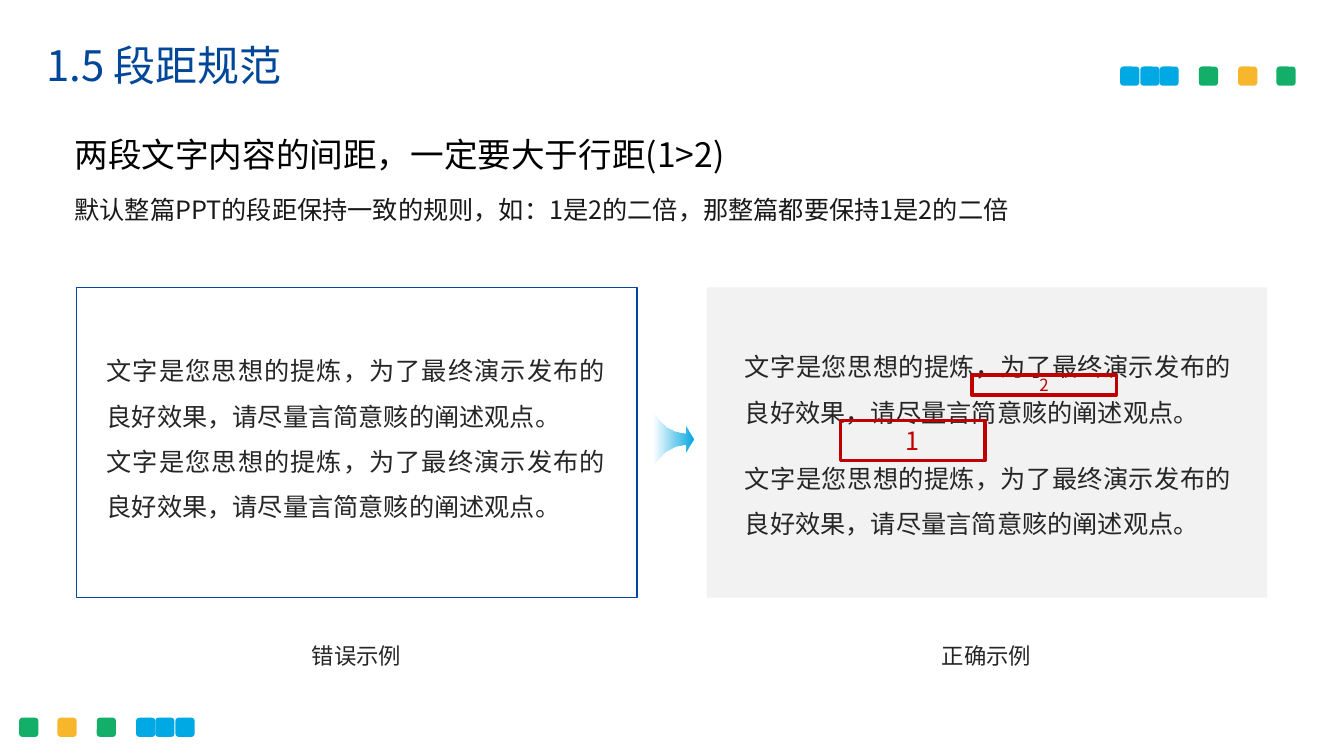
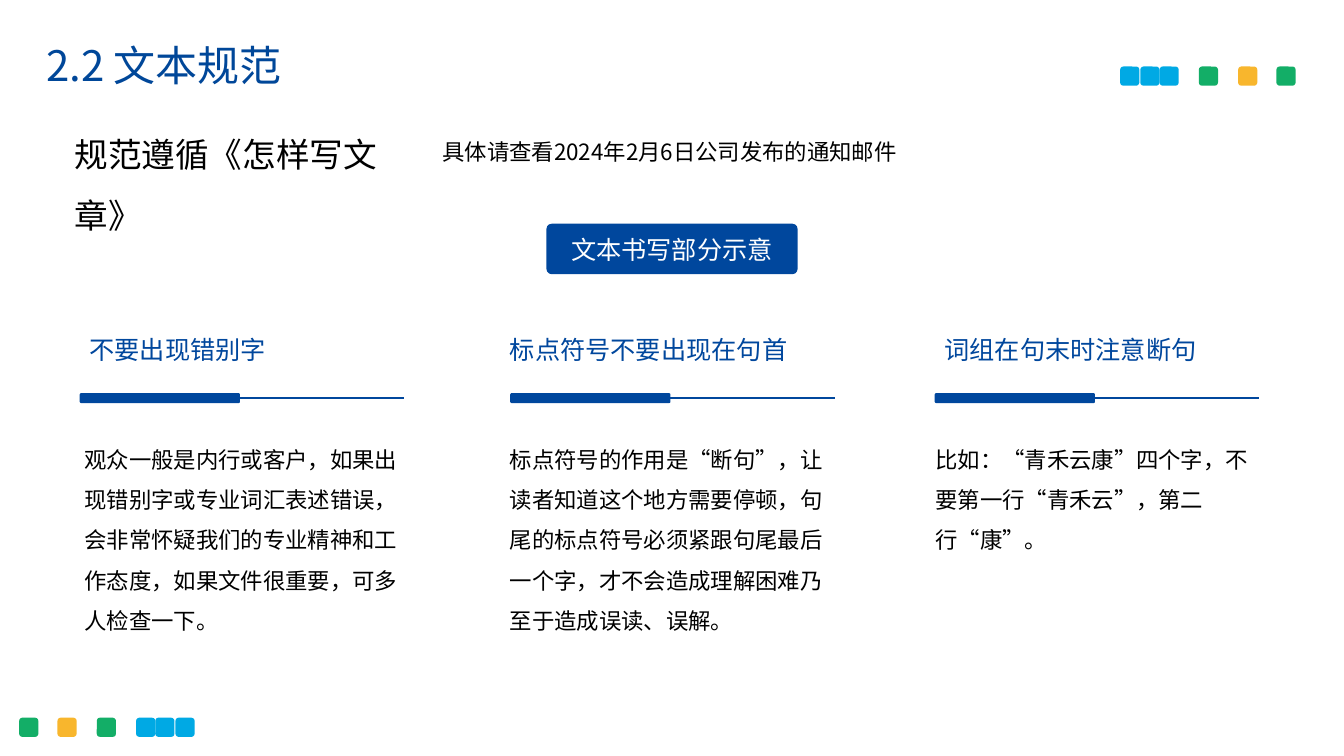
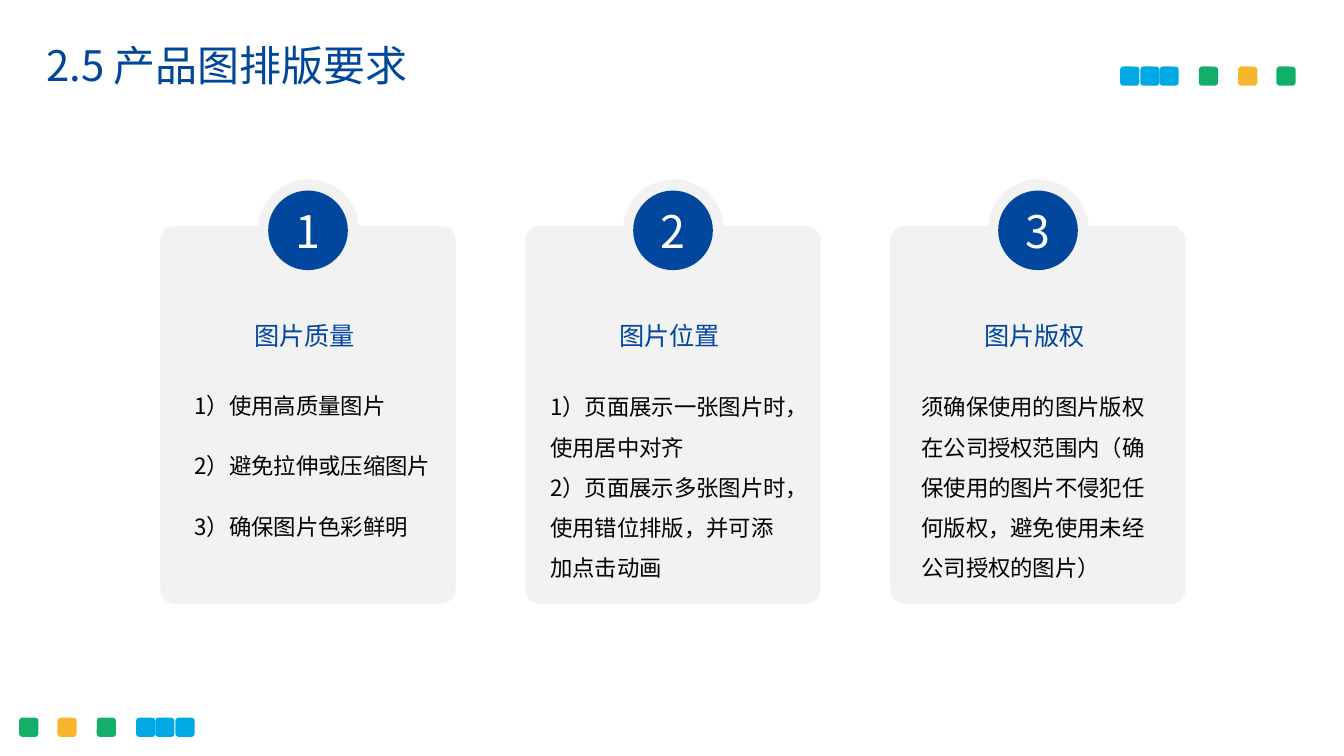
import pptx
import pptx.dml.color
import pptx.enum.lang
import pptx.enum.shapes
import pptx.enum.text
import pptx.oxml.ns
import pptx.util
from lxml import etree

Inches = pptx.util.Inches
Color = pptx.dml.color.RGBColor
Align = pptx.enum.text.PP_ALIGN
Anchor = pptx.enum.text.MSO_ANCHOR
Shape = pptx.enum.shapes.MSO_SHAPE
qn = pptx.oxml.ns.qn

FONT = "Noto Sans CJK SC"
LANG = pptx.enum.lang.MSO_LANGUAGE_ID.SIMPLIFIED_CHINESE
BLUE = Color(0x00, 0x47, 0x9D)
TITLE = Color(0x00, 0x47, 0x99)
SKY = Color(0x00, 0xA9, 0xE4)
ARROW = Color(0x00, 0xA6, 0xE1)
GREEN = Color(0x13, 0xAE, 0x67)
AMBER = Color(0xF8, 0xB6, 0x2D)
RED = Color(0xC0, 0x00, 0x00)
PALE = Color(0xF2, 0xF2, 0xF2)
DARK = Color(0x26, 0x26, 0x26)
INK = Color(0x19, 0x19, 0x19)
BLACK = Color(0, 0, 0)
WHITE = Color(255, 255, 255)

# Distance of each square from the slide corner, with its colour
DOTS = [(0, GREEN), (0.38, AMBER), (0.77, GREEN),
        (1.16, SKY), (1.35, SKY), (1.55, SKY)]


def curve(a, b, c, d, steps=8):
    """Points along a cubic curve, without its start."""
    pts = []
    for i in range(1, steps + 1):
        t = i / steps
        u = 1 - t
        pts.append(tuple(u**3 * p + 3 * u * u * t * q + 3 * u * t * t * r + t**3 * s
                         for p, q, r, s in zip(a, b, c, d)))
    return pts


class Deck:
    def __init__(self):
        self.prs = pptx.Presentation()
        self.prs.slide_width = Inches(13.33)
        self.prs.slide_height = Inches(7.5)
        self.slide = None

    def page(self, title):
        """New slide with its title and the two rows of squares."""
        self.slide = self.prs.slides.add_slide(self.prs.slide_layouts[6])
        for gap, color in DOTS:
            self.shape(Shape.ROUNDED_RECTANGLE, 12.66 - gap, 0.66, 0.19, 0.19, color)
            self.shape(Shape.ROUNDED_RECTANGLE, 0.19 + gap, 7.12, 0.19, 0.19, color)
        self.text(title, 0.36, 0.38, 9.93, 0.58, 30, TITLE, space=0.9,
                  anchor=Anchor.MIDDLE)

    def style(self, frame, text, size, color, align, space=1.0, gap=0):
        """Set the text of a frame and format it."""
        frame.text = text
        for i, para in enumerate(frame.paragraphs):
            para.alignment = align
            para.line_spacing = space
            if i and gap:
                para.space_before = pptx.util.Pt(gap)
            for run in para.runs:
                font = run.font
                font.name = FONT
                font.size = pptx.util.Pt(size)
                font.color.rgb = color
                font.language_id = LANG
                east = etree.SubElement(run._r.get_or_add_rPr(), qn("a:ea"))
                east.set("typeface", FONT)

    def text(self, text, x, y, w, h, size, color=BLACK, align=Align.LEFT,
             space=1.0, gap=0, anchor=Anchor.TOP):
        box = self.slide.shapes.add_textbox(Inches(x), Inches(y), Inches(w), Inches(h))
        frame = box.text_frame
        frame.word_wrap = True
        frame.vertical_anchor = anchor
        self.style(frame, text, size, color, align, space, gap)

    def shape(self, kind, x, y, w, h, fill=None, line=None, width=1.0, adj=None):
        item = self.slide.shapes.add_shape(kind, Inches(x), Inches(y), Inches(w), Inches(h))
        item.shadow.inherit = False
        if fill is None:
            item.fill.background()
        else:
            item.fill.solid()
            item.fill.fore_color.rgb = fill
        if line is None:
            item.line.fill.background()
        else:
            item.line.color.rgb = line
            item.line.width = pptx.util.Pt(width)
        if adj is not None:
            item.adjustments[0] = adj
        return item

    def label(self, item, text, size, color):
        """Centred text inside a shape."""
        frame = item.text_frame
        frame.margin_left = frame.margin_right = 0
        frame.margin_top = frame.margin_bottom = 0
        frame.vertical_anchor = Anchor.MIDDLE
        self.style(frame, text, size, color, Align.CENTER)

    def line(self, x, y, end):
        rule = self.slide.shapes.add_connector(
            pptx.enum.shapes.MSO_CONNECTOR.STRAIGHT,
            Inches(x), Inches(y), Inches(end), Inches(y))
        rule.line.color.rgb = BLUE
        rule.line.width = pptx.util.Pt(1)
        etree.SubElement(rule._element.spPr, qn("a:effectLst"))

    def arrow(self):
        """Flared arrow that fades out to the left."""
        mid = 4.355
        half = [(6.88, 0), (6.8, 0.13), (6.8, 0.06)]
        half += curve((6.8, 0.06), (6.74, 0.06), (6.67, 0.08), (6.61, 0.12))
        half += curve((6.61, 0.12), (6.56, 0.16), (6.53, 0.2), (6.49, 0.25))
        half.append((6.48, 0.26))
        pts = [(x, mid + d) for x, d in half]
        pts += [(x, mid - d) for x, d in reversed(half[1:])]
        pts = [(Inches(x), Inches(y)) for x, y in pts]
        build = self.slide.shapes.build_freeform(*pts[0])
        build.add_line_segments(pts[1:], close=True)
        item = build.convert_to_shape()
        item.shadow.inherit = False
        item.line.fill.background()
        item.fill.gradient()
        item.fill.gradient_angle = 0
        for stop in item.fill.gradient_stops:
            stop.color.rgb = ARROW
        first = next(item._element.spPr.iter(qn("a:srgbClr")))
        etree.SubElement(first, qn("a:alpha")).set("val", "0")


def spacing(deck):
    deck.page("1.5 段距规范")
    deck.text("两段文字内容的间距，一定要大于行距(1>2)", 0.64, 1.08, 10.72, 0.64, 24, space=1.5)
    deck.text("默认整篇PPT的段距保持一致的规则，如：1是2的二倍，那整篇都要保持1是2的二倍",
              0.64, 1.88, 10.25, 0.4, 18, INK)
    # Wrong and right panels
    line = "文字是您思想的提炼，为了最终演示发布的良好效果，请尽量言简意赅的阐述观点。"
    both = line + "\n" + line
    panels = [
        (0.76, None, BLUE, 0.96, 3.33, 5.14, 0, "错误示例"),
        (7.01, PALE, None, 7.29, 3.29, 5.02, 15, "正确示例"),
    ]
    for x, fill, edge, left, top, wide, gap, name in panels:
        deck.shape(Shape.RECTANGLE, x, 2.85, 5.56, 3.08, fill, edge)
        deck.text(both, left, top, wide, 2.07, 18, DARK, Align.JUSTIFY, 1.5, gap)
        deck.text(name, x + 1.65, 6.19, 2.25, 0.46, 16, DARK, Align.CENTER, 1.5)
    # Gap markers
    for text, x, y, h, size in [("1", 8.34, 4.17, 0.4, 18), ("2", 9.64, 3.72, 0.2, 12)]:
        mark = deck.shape(Shape.RECTANGLE, x, y, 1.43, h, line=RED, width=2.25)
        deck.label(mark, text, size, RED)
    deck.arrow()


def wording(deck):
    deck.page("2.2 文本规范")
    deck.text("规范遵循《怎样写文章》", 0.64, 1.08, 3.82, 1.2, 24, space=1.5)
    deck.text("具体请查看2024年2月6日公司发布的通知邮件", 4.29, 1.19, 5.11, 0.46, 16, space=1.5)
    badge = deck.shape(Shape.ROUNDED_RECTANGLE, 5.42, 2.22, 2.49, 0.5, BLUE, adj=0.1)
    deck.label(badge, "文本书写部分示意", 18, WHITE)
    # Three columns: rule, heading and body positions
    rules = [
        (0.79, 0.79, 0.74, "不要出现错别字",
         "观众一般是内行或客户，如果出现错别字或专业词汇表述错误，会非常怀疑我们的"
         "专业精神和工作态度，如果文件很重要，可多人检查一下。"),
        (5.06, 4.96, 4.96, "标点符号不要出现在句首",
         "标点符号的作用是“断句”，让读者知道这个地方需要停顿，句尾的标点符号必须"
         "紧跟句尾最后一个字，才不会造成理解困难乃至于造成误读、误解。"),
        (9.27, 9.27, 9.18, "词组在句末时注意断句",
         "比如：“青禾云康”四个字，不要第一行“青禾云”，第二行“康”。"),
    ]
    for x, head, body, name, text in rules:
        deck.text(name, head, 3.27, 2.96, 0.4, 18, BLUE)
        deck.shape(Shape.ROUNDED_RECTANGLE, x, 3.9, 1.59, 0.1, BLUE)
        deck.line(x + 0.13, 3.95, x + 3.22)
        deck.text(text, body, 4.24, 3.4, 2.08, 16, space=1.5)


def images(deck):
    deck.page("2.5 产品图排版要求")
    # Cards: heading, text, text offset, top, width, line spacing, paragraph gap
    cards = [
        ("图片质量", "1）使用高质量图片\n2）避免拉伸或压缩图片\n3）确保图片色彩鲜明",
         0.24, 3.84, 2.7, 1.0, 24),
        ("图片位置", "1）页面展示一张图片时，使用居中对齐\n"
         "2）页面展示多张图片时，使用错位排版，并可添加点击动画",
         0.15, 3.72, 2.63, 1.5, 0),
        ("图片版权", "须确保使用的图片版权在公司授权范围内（确保使用的图片不侵犯任何版权，"
         "避免使用未经公司授权的图片）",
         0.21, 3.72, 2.63, 1.5, 0),
    ]
    for i, (name, text, inset, top, wide, space, gap) in enumerate(cards):
        x = 1.59 + 3.62 * i
        deck.shape(Shape.OVAL, x + 0.97, 1.78, 1, 1, PALE)
        deck.shape(Shape.ROUNDED_RECTANGLE, x, 2.24, 2.93, 3.75, PALE, adj=0.05)
        disc = deck.shape(Shape.OVAL, x + 1.07, 1.89, 0.79, 0.79, BLUE)
        deck.label(disc, str(i + 1), 32, WHITE)
        deck.text(name, x + 0.69, 3.13, 1.48, 0.4, 18, BLUE, Align.CENTER)
        deck.text(text, x + inset, top, wide, 2.08, 16, space=space, gap=gap)


def main():
    deck = Deck()
    spacing(deck)
    wording(deck)
    images(deck)
    deck.prs.save("out.pptx")


if __name__ == "__main__":
    main()
